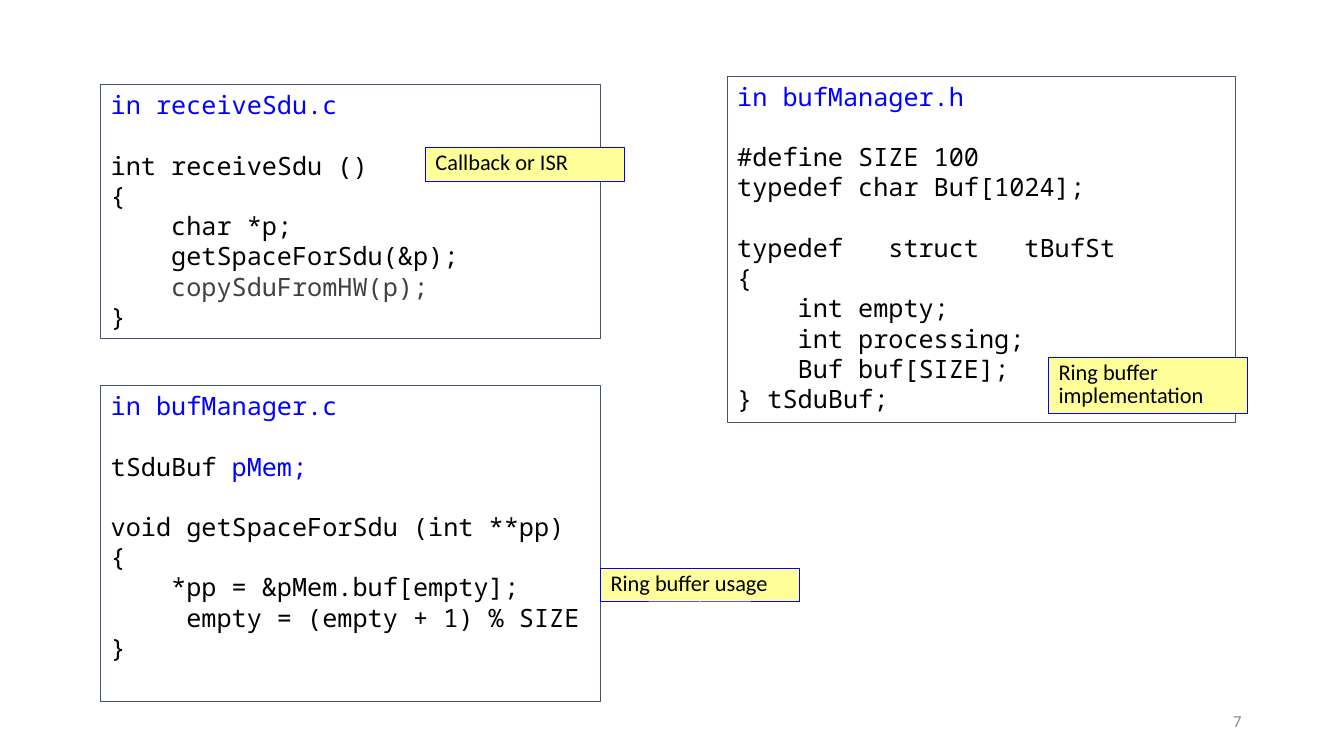
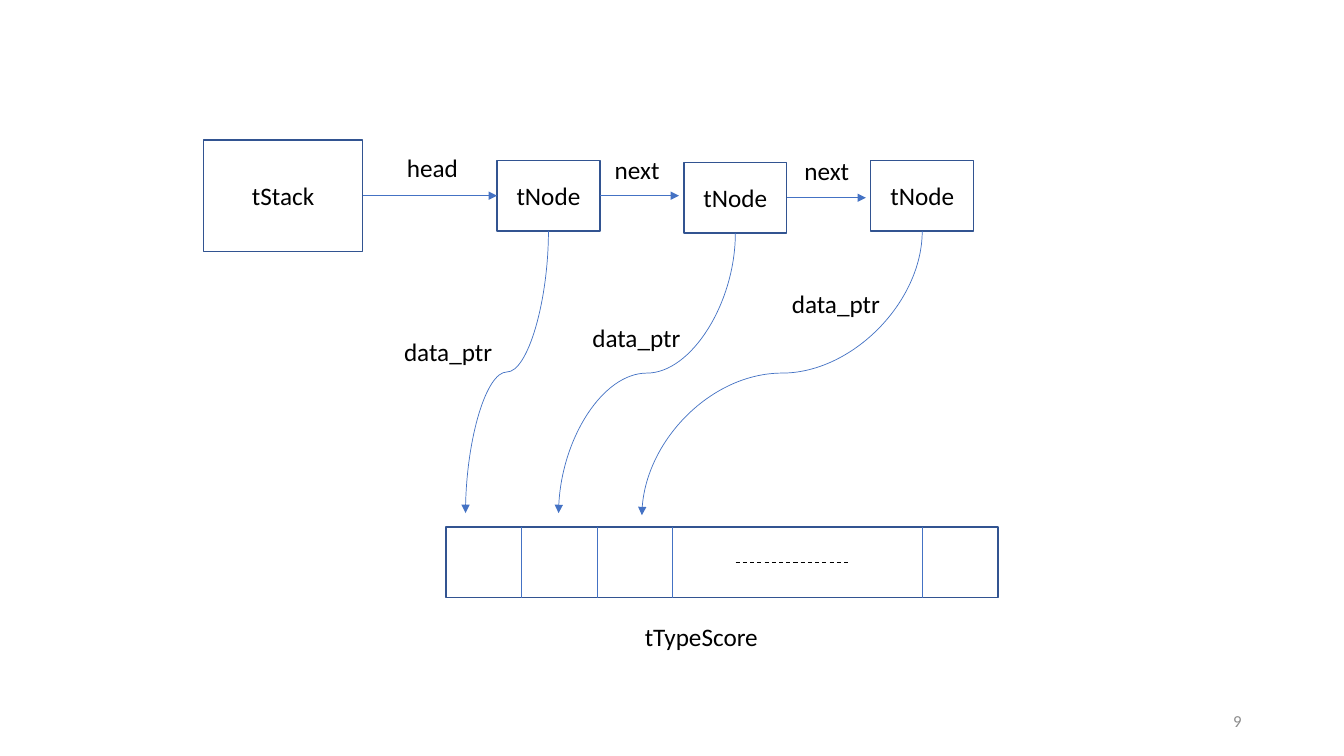
"""Build two slides: ring buffer code panels and a linked stack diagram."""
import pptx
import pptx.dml.color
import pptx.enum.dml
import pptx.enum.shapes
import pptx.enum.text
import pptx.oxml
import pptx.oxml.ns
import pptx.util
import lxml.etree

Pt = pptx.util.Pt
ALIGN = pptx.enum.text.PP_ALIGN
ANCHOR = pptx.enum.text.MSO_ANCHOR
CONNECTOR = pptx.enum.shapes.MSO_CONNECTOR

COLOURS = {
    "ink": "000000",
    "code_name": "0000FF",
    "muted": "404040",
    "panel_line": "44546A",
    "note_fill": "FFFF99",
    "node_line": "325491",
    "link": "4472C4",
    "page_number": "8C8C8C",
}
BODY_FONT = "Calibri"
CODE_FONT = "Noto Sans Mono"
CODE_GAP = 21.5

RECEIVE_CODE = [
    [[("in receiveSdu.c", "code_name")]],
    [
        "int receiveSdu ()",
        "{",
        "    char *p;",
        "    getSpaceForSdu(&p);",
        [("    copySduFromHW(p);", "muted")],
        "}",
    ],
]
MANAGER_CODE = [
    [[("in bufManager.c", "code_name")]],
    [[("tSduBuf ", "ink"), ("pMem;", "code_name")]],
    [
        "void getSpaceForSdu (int **pp)",
        "{",
        "    *pp = &pMem.buf[empty];",
        "     empty = (empty + 1) % SIZE",
        "}",
    ],
]
HEADER_CODE = [
    [[("in bufManager.h", "code_name")]],
    ["#define SIZE 100", "typedef char Buf[1024];"],
    [
        "typedef   struct   tBufSt",
        "{",
        "    int empty;",
        "    int processing;",
        "    Buf buf[SIZE];",
        "} tSduBuf;",
    ],
]


def rgb(name):
    """Return the named colour."""
    return pptx.dml.color.RGBColor.from_string(COLOURS[name])


def add_span(para, text, size, colour="ink", font=BODY_FONT):
    """Add one formatted run to a paragraph."""
    span = para.add_run()
    span.text = text
    span.font.name = font
    span.font.size = Pt(size)
    span.font.color.rgb = rgb(colour)


def add_rectangle(page, box, line, width, fill=None, anchor=ANCHOR.TOP):
    """Add an outlined rectangle with no shadow."""
    shape = page.shapes.add_shape(
        pptx.enum.shapes.MSO_SHAPE.RECTANGLE, *[Pt(value) for value in box])
    shape.shadow.inherit = False
    if fill:
        shape.fill.solid()
        shape.fill.fore_color.rgb = rgb(fill)
    else:
        shape.fill.background()
    shape.line.color.rgb = rgb(line)
    shape.line.width = Pt(width)
    shape.text_frame.word_wrap = True
    shape.text_frame.vertical_anchor = anchor
    return shape


def add_label(page, box, text, size=18, colour="ink", align=ALIGN.LEFT, anchor=ANCHOR.TOP):
    """Add a one-line text box."""
    label = page.shapes.add_textbox(*[Pt(value) for value in box])
    label.text_frame.word_wrap = True
    label.text_frame.vertical_anchor = anchor
    para = label.text_frame.paragraphs[0]
    para.alignment = align
    add_span(para, text, size, colour)


def add_link(page, start, end, kind=CONNECTOR.STRAIGHT, colour="link", width=0.5, arrow=False):
    """Add a connector with no shadow and an optional arrowhead."""
    link = page.shapes.add_connector(kind, *[Pt(value) for value in (*start, *end)])
    link.line.color.rgb = rgb(colour)
    link.line.width = Pt(width)
    if arrow:
        tail = lxml.etree.SubElement(link.line._get_or_add_ln(), pptx.oxml.ns.qn("a:tailEnd"))
        tail.set("type", "triangle")
    lxml.etree.SubElement(link._element.spPr, pptx.oxml.ns.qn("a:effectLst"))
    return link


def add_drop_curve(page, start, end):
    """Add an S-curve that leaves downwards and arrives downwards to the left."""
    drop, shift = end[1] - start[1], start[0] - end[0]
    centre_x, centre_y = (start[0] + end[0]) / 2, (start[1] + end[1]) / 2
    curve = add_link(
        page,
        (centre_x - drop / 2, centre_y - shift / 2),
        (centre_x + drop / 2, centre_y + shift / 2),
        CONNECTOR.CURVE, arrow=True)
    curve._element.spPr.find(pptx.oxml.ns.qn("a:xfrm")).set("rot", "5400000")


def add_code_panel(page, box, blocks):
    """Add a framed listing whose blocks are set one line apart."""
    frame = add_rectangle(page, box, "panel_line", 0.75).text_frame
    para = frame.paragraphs[0]
    for block_index, block in enumerate(blocks):
        for line_index, line in enumerate(block):
            if block_index or line_index:
                para = frame.add_paragraph()
            para.alignment = ALIGN.LEFT
            if block_index and not line_index:
                para.space_before = Pt(CODE_GAP)
            spans = [(line, "ink")] if isinstance(line, str) else line
            for text, colour in spans:
                add_span(para, text, 18, colour, CODE_FONT)


def add_note(page, box, text):
    """Add a yellow remark."""
    note = add_rectangle(page, box, "code_name", 0.75, "note_fill")
    para = note.text_frame.paragraphs[0]
    para.alignment = ALIGN.LEFT
    para.line_spacing = 0.85
    add_span(para, text, 16)


def add_node(page, box, text):
    """Add a centred diagram box."""
    node = add_rectangle(page, box, "node_line", 1, anchor=ANCHOR.MIDDLE)
    para = node.text_frame.paragraphs[0]
    para.alignment = ALIGN.CENTER
    add_span(para, text, 18)
    return node


def add_linked_list(page, left, top):
    """Draw the stack and its chain of nodes, and return each node's bottom centre."""
    width, height, pitch = 73.5, 50.5, 133.5
    stack = add_node(page, (left, top, 113.5, 79.5), "tStack")
    nodes, bottoms = [], []
    for index, offset in enumerate((14.5, 16, 14.5)):
        x, y = left + 209.5 + index * pitch, top + offset
        nodes.append(add_node(page, (x, y, width, height), "tNode"))
        bottoms.append((x + width / 2, y + height))
    head = add_link(page, (left + 113.5, top + 39.75), (left + 209.5, top + 39.75), arrow=True)
    head.begin_connect(stack, 3)
    head.end_connect(nodes[0], 1)
    for node, (x, y) in zip(nodes[:-1], bottoms):
        middle = y - height / 2
        start = (x + width / 2, middle)
        link = add_link(page, start, (start[0] + 56.5, middle), arrow=True)
        link.begin_connect(node, 3)
    for x, y, text in ((138, 5, "head"), (286.5, 6.5, "next"), (422, 7.5, "next")):
        add_label(page, (left + x, top + y, 54.5, 29), text)
    return bottoms


def add_score_array(page, box):
    """Draw the score array with its cell dividers and caption."""
    left, top, width, height = box
    cell = 54
    add_rectangle(page, box, "node_line", 1)
    for offset in (cell, 2 * cell, 3 * cell, width - cell):
        add_link(page, (left + offset, top), (left + offset, top + height))
    middle = top + height / 2
    dots = add_link(page, (left + 207, middle), (left + 289, middle), colour="ink", width=0.75)
    dots.line.dash_style = pptx.enum.dml.MSO_LINE.DASH
    add_label(page, (left + 135, top + 63.5, 109.5, 29), "tTypeScore")


def add_page(deck, number):
    """Add a blank page with its number."""
    page = deck.slides.add_slide(deck.slide_layouts[6])
    add_label(page, (678, 500.5, 216, 28.5), number, 12, "page_number",
              ALIGN.RIGHT, ANCHOR.MIDDLE)
    return page


def build_code_page(deck):
    """Build the page of code listings."""
    page = add_page(deck, "7")
    add_code_panel(page, (72, 275.5, 357, 225.5), MANAGER_CODE)
    add_code_panel(page, (72, 60.5, 357, 181.5), RECEIVE_CODE)
    add_code_panel(page, (519.5, 54.5, 363, 247), HEADER_CODE)
    add_note(page, (304, 105.5, 142, 24), "Callback or ISR")
    add_note(page, (429, 406, 142, 24), "Ring buffer usage")
    add_note(page, (749, 255.5, 142, 40), "Ring buffer implementation")


def build_stack_page(deck):
    """Build the page of the linked stack."""
    page = add_page(deck, "9")
    bottoms = add_linked_list(page, 145.5, 100)
    add_score_array(page, (318.5, 376.5, 394.5, 50.5))
    targets = ((332.5, 366.5), (399, 366.5), (458.5, 368))
    label_corners = ((281.5, 237), (416, 227), (558.5, 202.5))
    for start, end, corner in zip(bottoms, targets, label_corners):
        add_drop_curve(page, start, end)
        add_label(page, (*corner, 109.5, 29), "data_ptr")


def main():
    """Build and save the deck."""
    deck = pptx.Presentation()
    deck.slide_width, deck.slide_height = Pt(960), Pt(540)
    build_code_page(deck)
    build_stack_page(deck)
    deck.save("out.pptx")


if __name__ == "__main__":
    main()
